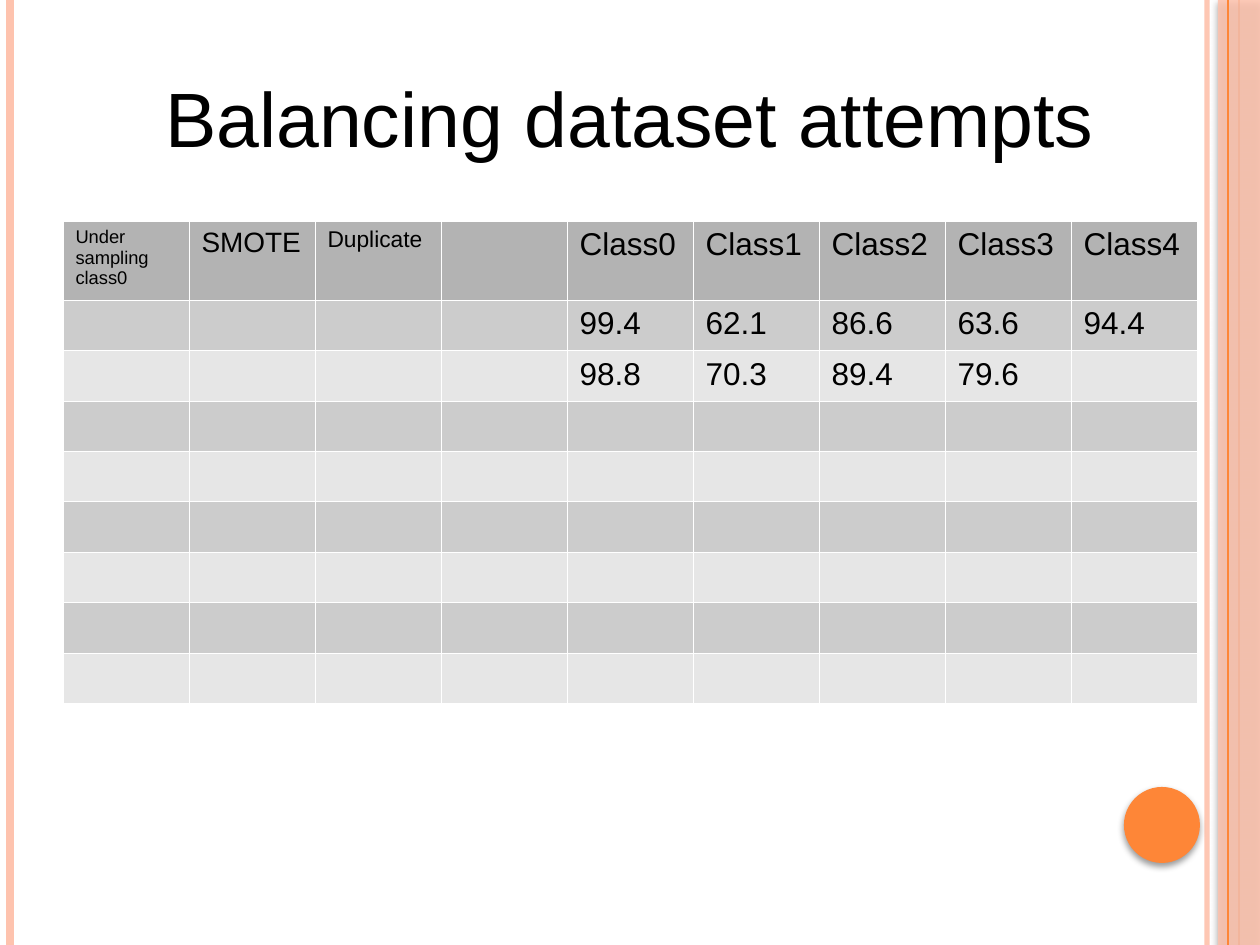
from lxml import etree
from pptx import Presentation
from pptx.dml.color import RGBColor
from pptx.enum.shapes import MSO_CONNECTOR, MSO_SHAPE
from pptx.enum.text import MSO_ANCHOR, PP_ALIGN
from pptx.oxml import parse_xml
from pptx.oxml.ns import nsdecls, qn
from pptx.util import Emu, Pt

# Content
TITLE = "Balancing dataset attempts"
HEADERS = [("Under sampling class0", 10.5), ("SMOTE", 16), ("Duplicate", 13), ("", 18)]
HEADERS += [(f"Class{number}", 18) for number in range(5)]
RESULTS = [
    ["99.4", "62.1", "86.6", "63.6", "94.4"],
    ["98.8", "70.3", "89.4", "79.6"],
]
FIRST_RESULT_COLUMN = 4
BODY_ROWS = 8

# Style
FONT = "Arial"
BLACK = RGBColor(0x00, 0x00, 0x00)
PEACH = RGBColor(0xFE, 0xC3, 0xAE)
ORANGE = RGBColor(0xFE, 0x86, 0x37)
HEADER_GREY = RGBColor(0xB3, 0xB3, 0xB3)
BAND_GREYS = [RGBColor(0xCC, 0xCC, 0xCC), RGBColor(0xE6, 0xE6, 0xE6)]

# Layout in px
SLIDE_W, SLIDE_H = 1260, 945
RIGHT_RULE, LEFT_RULE = (1207, PEACH, 3, 93), (10, PEACH, 4.5, 100)
BAND_RULE, INNER_RULE = (1239, ORANGE, 1.5, 100), (1228, ORANGE, 0.75, 100)
BAND = (1218, 0, 42, SLIDE_H)
DOT = (1124, 787, 76, 76)
TITLE_BOX = (63, 38, 1134, 157)
TABLE_LEFT, TABLE_TOP, COLUMN_W, ROW_H = 63, 221, 126, 47


def px(length):
    return Emu(length * 914400 // 126)


def set_alpha(properties, percent):
    color = properties.find(".//" + qn("a:srgbClr"))
    etree.SubElement(color, qn("a:alpha")).set("val", str(percent * 1000))


def add_rule(slide, x, color, width, opacity):
    rule = slide.shapes.add_connector(MSO_CONNECTOR.STRAIGHT, px(x), 0, px(x), px(SLIDE_H))
    rule.line.color.rgb = color
    rule.line.width = Pt(width)
    properties = rule._element.spPr
    if opacity < 100:
        set_alpha(properties, opacity)
    etree.SubElement(properties, qn("a:effectLst"))


def add_ornament(slide, kind, box, color, opacity=100):
    ornament = slide.shapes.add_shape(kind, *map(px, box))
    ornament.fill.solid()
    ornament.fill.fore_color.rgb = color
    properties = ornament._element.spPr
    if opacity < 100:
        set_alpha(properties, opacity)
    ornament.line.fill.background()
    properties.append(parse_xml(
        f'<a:effectLst {nsdecls("a")}>'
        f'<a:outerShdw blurRad="{Pt(4)}" dist="{Pt(2)}" dir="5400000" rotWithShape="0">'
        '<a:srgbClr val="000000"><a:alpha val="40000"/></a:srgbClr>'
        '</a:outerShdw></a:effectLst>'))


def style_font(font, size):
    font.name = FONT
    font.size = Pt(size)
    font.color.rgb = BLACK


def fill_cell(cell, text, size, color):
    cell.text = text
    style_font(cell.text_frame.paragraphs[0].font, size)
    properties = cell._tc.get_or_add_tcPr()
    for side in ("lnL", "lnR", "lnT", "lnB"):
        properties.append(parse_xml(
            f'<a:{side} {nsdecls("a")} w="{Pt(0.06)}"><a:solidFill>'
            f'<a:srgbClr val="FFFFFF"/></a:solidFill></a:{side}>'))
    cell.fill.solid()
    cell.fill.fore_color.rgb = color


def add_title(slide):
    frame = slide.shapes.add_textbox(*map(px, TITLE_BOX)).text_frame
    frame.word_wrap = True
    frame.vertical_anchor = MSO_ANCHOR.MIDDLE
    frame.margin_left = frame.margin_right = frame.margin_top = frame.margin_bottom = 0
    heading = frame.paragraphs[0]
    heading.text = TITLE
    heading.alignment = PP_ALIGN.CENTER
    style_font(heading.font, 44)


def add_results_table(slide):
    rows, columns = BODY_ROWS + 1, len(HEADERS)
    table = slide.shapes.add_table(rows, columns, px(TABLE_LEFT), px(TABLE_TOP),
                                   px(columns * COLUMN_W), px(rows * ROW_H)).table
    table.first_row = table.horz_banding = False
    for column in table.columns:
        column.width = px(COLUMN_W)
    for row in table.rows:
        row.height = px(ROW_H)
    for column, (text, size) in enumerate(HEADERS):
        fill_cell(table.cell(0, column), text, size, HEADER_GREY)
    for row in range(BODY_ROWS):
        scores = RESULTS[row] if row < len(RESULTS) else []
        texts = [""] * FIRST_RESULT_COLUMN + scores
        texts += [""] * (columns - len(texts))
        for column, text in enumerate(texts):
            fill_cell(table.cell(row + 1, column), text, 18, BAND_GREYS[row % 2])


def main():
    deck = Presentation()
    deck.slide_width, deck.slide_height = px(SLIDE_W), px(SLIDE_H)
    slide = deck.slides.add_slide(deck.slide_layouts[6])

    # Side decoration, back to front
    for rule in (RIGHT_RULE, LEFT_RULE, BAND_RULE):
        add_rule(slide, *rule)
    add_ornament(slide, MSO_SHAPE.RECTANGLE, BAND, PEACH, 87)
    add_rule(slide, *INNER_RULE)
    add_ornament(slide, MSO_SHAPE.OVAL, DOT, ORANGE)

    # Title and table
    add_title(slide)
    add_results_table(slide)
    deck.save("out.pptx")


if __name__ == "__main__":
    main()
